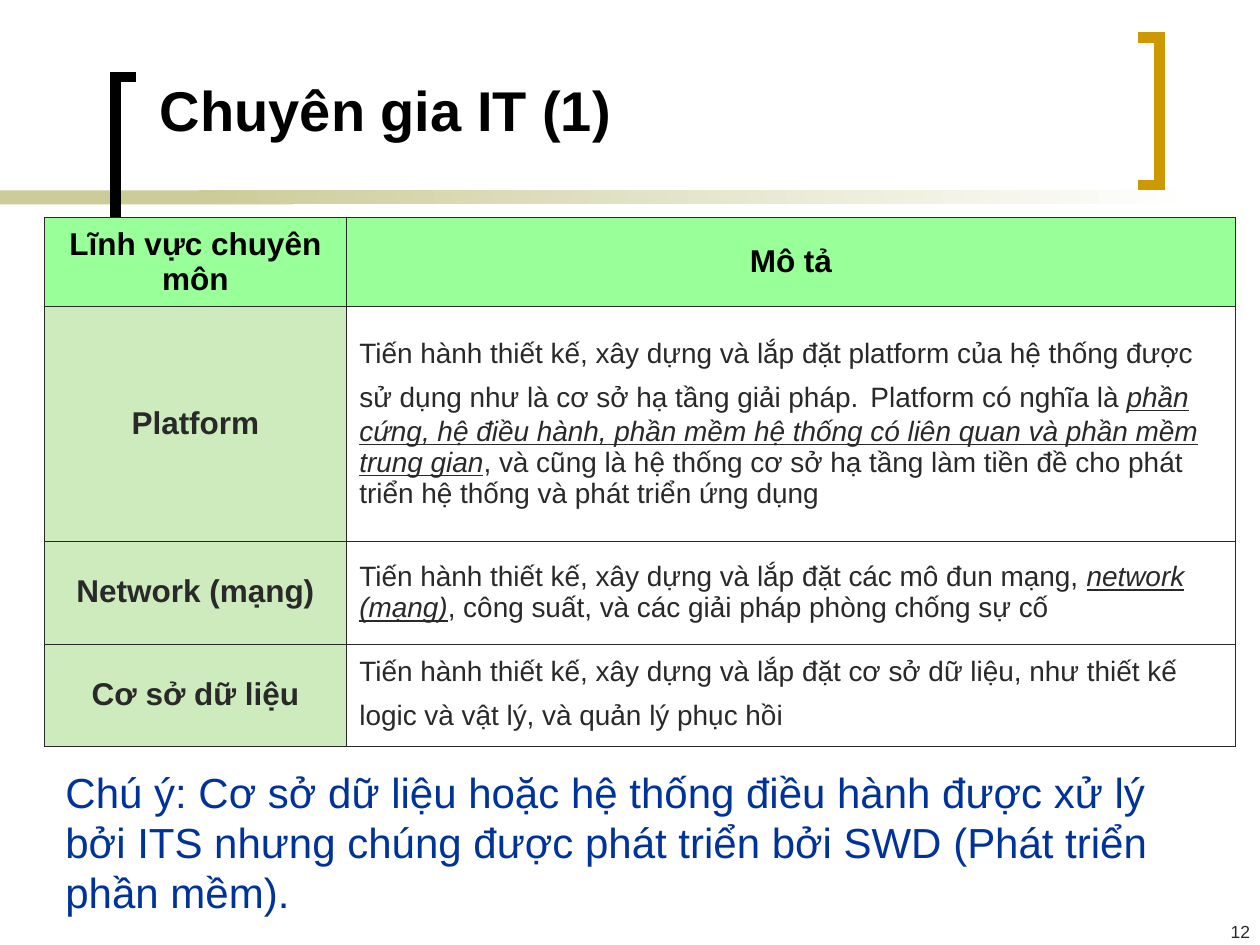
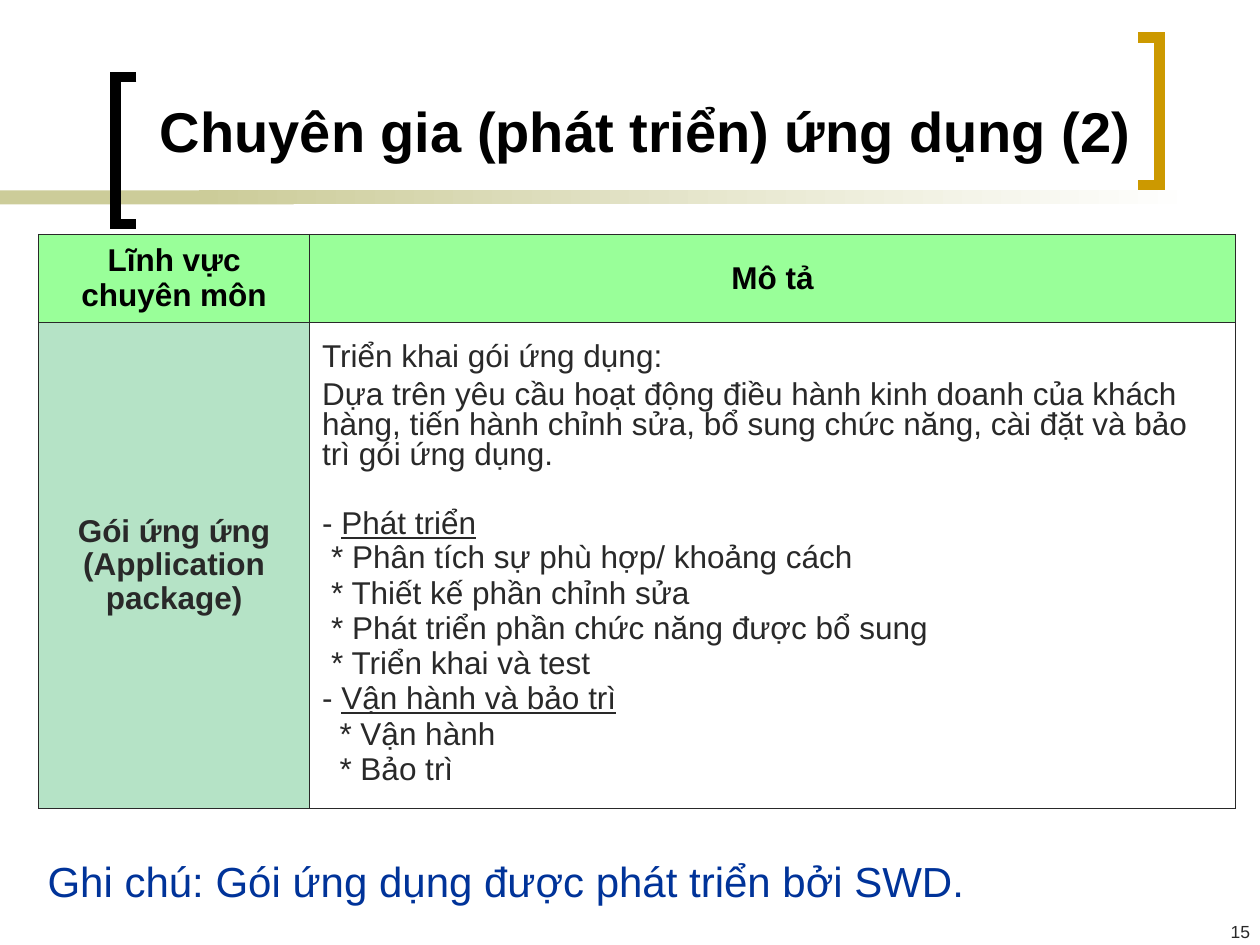
from lxml.etree import SubElement as Sub
from pptx import Presentation
from pptx.dml.color import RGBColor
from pptx.enum.shapes import MSO_SHAPE as Form
from pptx.enum.text import MSO_ANCHOR as Anchor, MSO_AUTO_SIZE as Fit, PP_ALIGN as Align
from pptx.oxml.ns import qn
from pptx.util import Cm, Pt

BLACK = RGBColor(0x00, 0x00, 0x00)
WHITE = RGBColor(0xFF, 0xFF, 0xFF)
DARK = RGBColor(0x29, 0x29, 0x29)
BLUE = RGBColor(0x00, 0x33, 0x99)
GOLD = RGBColor(0xCC, 0x99, 0x00)
SAND = RGBColor(0xCC, 0xCC, 0x99)
GREEN = RGBColor(0x99, 0xFF, 0x99)
LIME = RGBColor(0xCE, 0xEB, 0xBD)
MINT = RGBColor(0xB5, 0xE3, 0xC6)

# Text styles: paragraph values, font values, colour
TITLE = ({"alignment": Align.LEFT}, {"size": Pt(32), "bold": True}, BLACK)
HEAD = ({"alignment": Align.CENTER}, {"size": Pt(18), "bold": True}, BLACK)
NAME = ({"alignment": Align.CENTER}, {"size": Pt(18), "bold": True}, DARK)
TIGHT = ({**NAME[0], "line_spacing": 0.95}, NAME[1], DARK)
BODY = ({}, {"size": Pt(16)}, DARK)
LIST = ({}, {"size": Pt(18)}, DARK)
NOTE = ({}, {"size": Pt(24)}, BLUE)
PAGE = ({"alignment": Align.RIGHT}, {"size": Pt(10)}, DARK)

# Run and paragraph variants
KEY = {"italic": True, "underline": True}
LINE = {"underline": True}
TALL = {"size": Pt(24)}
DENSE = {"line_spacing": 0.85}
NEXT = {**DENSE, "space_before": Pt(4.5)}
GAP = {**DENSE, "space_before": Pt(22)}
STEP, DEEP = {"indent": Cm(0.18)}, {"indent": Cm(0.35)}


def write(frame, style, *paras):
    """Fill a frame; each paragraph is (values, run, run...), a run is (text, values)."""
    form, font, ink = style
    frame.word_wrap = True
    for i, (more, *runs) in enumerate(paras):
        para = frame.add_paragraph() if i else frame.paragraphs[0]
        for key, val in {**form, **more}.items():
            if key == "indent":
                para._p.get_or_add_pPr().set("marL", str(val))
            else:
                setattr(para, key, val)
        for text, extra in runs:
            run = para.add_run()
            run.text = text
            for key, val in {"name": "Arial", **font, **extra}.items():
                setattr(run.font, key, val)
            run.font.color.rgb = ink


def plain(text):
    return {}, (text, {})


# Content of the two slides
TOP = [(HEAD, GREEN, [plain("Lĩnh vực chuyên môn")]), (HEAD, GREEN, [plain("Mô tả")])]
PAGES = [
    {
        "title": "Chuyên gia IT (1)", "spot": (2.97, 1.32, 18.64, 1.75), "page": "12",
        "table": (0.89, 4.39), "cols": (6.1, 17.91), "rows": (1.78, 4.75, 2.06, 2.06),
        "cells": [
            TOP,
            [(NAME, LIME, [plain("Platform")]),
             (BODY, WHITE, [({},
                ("Tiến hành thiết kế, xây dựng và lắp đặt platform của hệ thống được "
                 "sử dụng như là cơ sở hạ tầng giải pháp.", {}),
                (" ", TALL),
                ("Platform có nghĩa là ", {}),
                ("phần cứng, hệ điều hành, phần mềm hệ thống có liên quan "
                 "và phần mềm trung gian", KEY),
                (", và cũng là hệ thống cơ sở hạ tầng làm tiền đề cho phát triển "
                 "hệ thống và phát triển ứng dụng", {}))])],
            [(TIGHT, LIME, [plain("Network (mạng)")]),
             (BODY, WHITE, [({},
                ("Tiến hành thiết kế, xây dựng và lắp đặt các mô đun mạng, ", {}),
                ("network (mạng)", KEY),
                (", công suất, và các giải pháp phòng chống sự cố", {}))])],
            [(NAME, LIME, [plain("Cơ sở dữ liệu")]),
             (BODY, WHITE, [({},
                ("Tiến hành thiết kế, xây dựng và lắp đặt cơ sở dữ liệu, như thiết kế "
                 "logic và vật lý, và quản lý phục hồi", {}),
                (" ", TALL))])],
        ],
        "note": "Chú ý: Cơ sở dữ liệu hoặc hệ thống điều hành được xử lý bởi ITS "
                "nhưng chúng được phát triển bởi SWD (Phát triển phần mềm).",
        "foot": (1.07, 15.32, 23.62, 3.3),
    },
    {
        "title": "Chuyên gia (phát triển) ứng dụng (2)",
        "spot": (2.97, 1.52, 21.56, 2.21), "page": "15",
        "table": (0.78, 4.72), "cols": (5.46, 18.67), "rows": (1.78, 9.8),
        "cells": [
            TOP,
            [(TIGHT, MINT, [plain("Gói ứng ứng (Application package)")]),
             (LIST, WHITE, [
                (DENSE, ("Triển khai gói ứng dụng:", {})),
                (NEXT, ("Dựa trên yêu cầu hoạt động điều hành kinh doanh của khách hàng, "
                        "tiến hành chỉnh sửa, bổ sung chức năng, cài đặt và bảo trì "
                        "gói ứng dụng.", {})),
                (GAP, ("- ", {}), ("Phát triển", LINE)),
                (STEP, ("* Phân tích sự phù hợp/ khoảng cách", {})),
                (STEP, ("* Thiết kế phần chỉnh sửa", {})),
                (STEP, ("* Phát triển phần chức năng được bổ sung", {})),
                (STEP, ("* Triển khai và test", {})),
                ({}, ("- ", {}), ("Vận hành và bảo trì", LINE)),
                (DEEP, ("* Vận hành", {})),
                (DEEP, ("* Bảo trì", {}))])],
        ],
        "note": "Ghi chú: Gói ứng dụng được phát triển bởi SWD.",
        "foot": (0.71, 17.12, 23.44, 1),
    },
]

# Corner brackets: colour, open side, spine side, top
HOOKS = [(BLACK, 2.75, 2.33, 1.55), (GOLD, 22.95, 23.37, 0.76)]
HIGH = 2.97

deck = Presentation()
deck.slide_width, deck.slide_height = Cm(25.4), Cm(19.05)

for page in PAGES:
    slide = deck.slides.add_slide(deck.slide_layouts[5])
    shapes = slide.shapes
    title = shapes.title

    # Band across the top, fading to white
    for left, wide in ((0, 5.92), (4.01, 20.12)):
        band = shapes.add_shape(Form.RECTANGLE, Cm(left), Cm(3.84), Cm(wide), Cm(0.28))
        band.shadow.inherit = False
        band.line.fill.background()
        if left:
            band.fill.gradient()
            band.fill.gradient_angle = 180
            for stop, tint in zip(band.fill.gradient_stops, (WHITE, SAND)):
                stop.color.rgb = tint
        else:
            band.fill.solid()
            band.fill.fore_color.rgb = SAND

    # Brackets
    for ink, tip, spine, top in HOOKS:
        pen = shapes.build_freeform(Cm(tip), Cm(top))
        pen.add_line_segments([(Cm(spine), Cm(top)), (Cm(spine), Cm(top + HIGH)),
                               (Cm(tip), Cm(top + HIGH))], close=False)
        hook = pen.convert_to_shape()
        hook.shadow.inherit = False
        hook.fill.background()
        hook.line.color.rgb = ink
        hook.line.width = Pt(6)
        Sub(hook.line._ln, qn("a:miter"), lim="800000")

    # Title
    title.left, title.top, title.width, title.height = map(Cm, page["spot"])
    write(title.text_frame, TITLE, plain(page["title"]))
    title.text_frame.auto_size = Fit.NONE
    title.text_frame.vertical_anchor = Anchor.MIDDLE

    # Table
    cols, rows = page["cols"], page["rows"]
    size = (*page["table"], sum(cols), sum(rows))
    table = shapes.add_table(len(rows), len(cols), *map(Cm, size)).table
    table.horz_banding = False
    for col, wide in zip(table.columns, cols):
        col.width = Cm(wide)
    for row, high, cells in zip(table.rows, rows, page["cells"]):
        row.height = Cm(high)
        for cell, (style, tint, paras) in zip(row.cells, cells):
            cell.vertical_anchor = Anchor.MIDDLE
            write(cell.text_frame, style, *paras)
            for side in "LRTB":
                edge = Sub(cell._tc.get_or_add_tcPr(), qn("a:ln" + side), w=str(Pt(0.45)))
                Sub(Sub(edge, qn("a:solidFill")), qn("a:srgbClr"), val=str(DARK))
            cell.fill.solid()
            cell.fill.fore_color.rgb = tint

    # Note and page number
    for text, style, spot in ((page["note"], NOTE, page["foot"]),
                              (page["page"], PAGE, (20.24, 18.44, 5.16, 0.61))):
        box = shapes.add_textbox(*map(Cm, spot))
        write(box.text_frame, style, plain(text))
    box.text_frame.margin_right = Cm(0.2)

deck.save("out.pptx")
